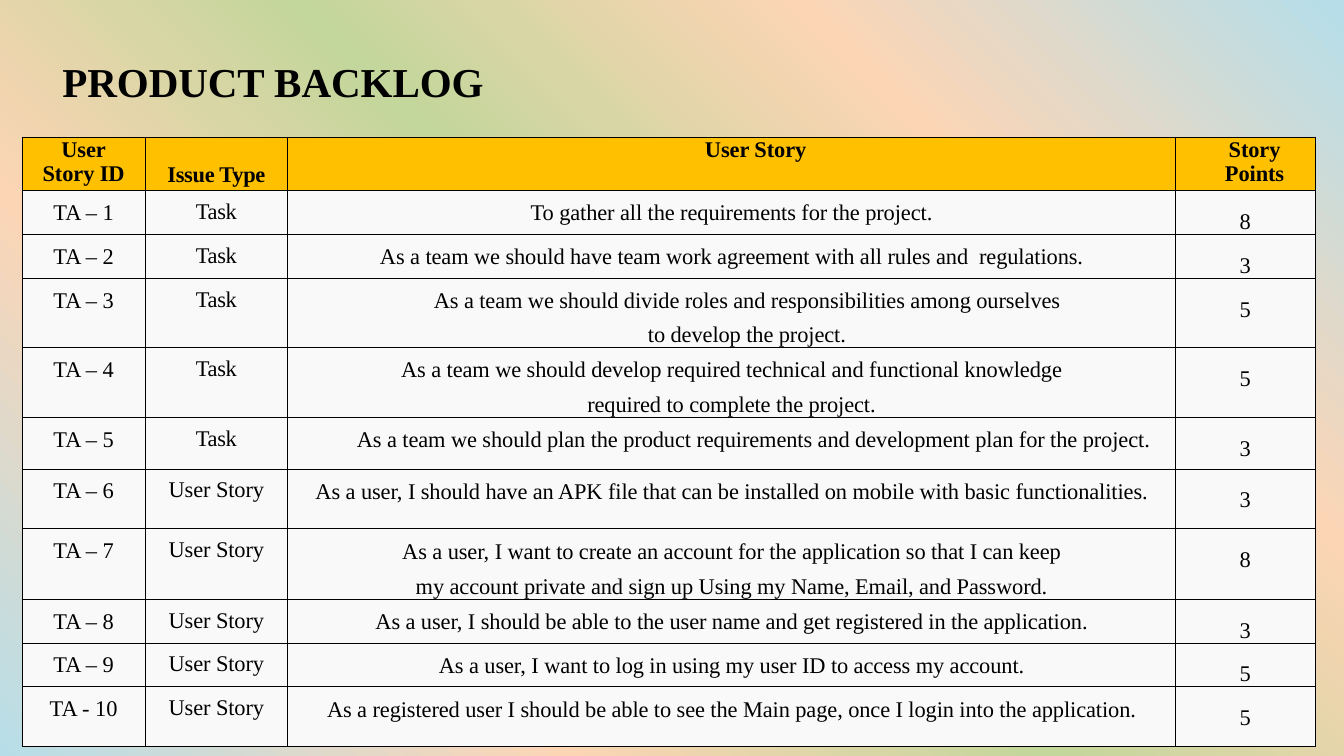
from lxml.etree import SubElement
from pptx import Presentation
from pptx.dml.color import RGBColor
from pptx.enum.text import MSO_AUTO_SIZE, PP_ALIGN
from pptx.oxml.ns import qn
from pptx.util import Inches, Pt

BLACK = RGBColor(0x00, 0x00, 0x00)
GOLD = RGBColor(0xFF, 0xC0, 0x00)
OFF_WHITE = RGBColor(0xF9, 0xF9, 0xF9)
BLUE = RGBColor(0xB7, 0xDE, 0xE8)
PEACH = RGBColor(0xFC, 0xD5, 0xB5)
GREEN = RGBColor(0xC3, 0xD6, 0x9B)

BACKGROUND = [(1, BLUE), (26, PEACH), (50, GREEN), (73, PEACH), (100, BLUE)]
COLUMN_WIDTHS = [1.83, 2.12, 13.21, 2.08]
HEADER_HEIGHT = 0.8
HEADERS = [
    ("User\nStory ID", {}),
    ("Issue Type", {"leading": 18.1, "lead_lines": 2, "tracking": -0.3}),
    ("User Story", {"indent": 0.72}),
    ("Story\nPoints", {"indent": 0.28}),
]
STORIES = [
    ("TA – 1", "Task", "To gather all the requirements for the project.", "8", 0.65, 0, 18.6),
    ("TA – 2", "Task", "As a team we should have team work agreement with all rules and  regulations.",
     "3", 0.65, 0, 18.6),
    ("TA – 3", "Task", "As a team we should divide roles and responsibilities among ourselves\n"
     "to develop the project.", "5", 1.03, 0.46, 18.6),
    ("TA – 4", "Task", "As a team we should develop required technical and functional knowledge\n"
     "required to complete the project.", "5", 1.03, 0, 18.6),
    ("TA – 5", "Task", "As a team we should plan the product requirements and development plan "
     "for the project.", "3", 0.77, 0.65, 18.6),
    ("TA – 6", "User Story", "As a user, I should have an APK file that can be installed on mobile "
     "with basic functionalities.", "3", 0.89, 0, 18.9),
    ("TA – 7", "User Story", "As a user, I want to create an account for the application so that I can keep\n"
     "my account private and sign up Using my Name, Email, and Password.", "8", 1.05, 0, 18.9),
    ("TA – 8", "User Story", "As a user, I should be able to the user name and get registered "
     "in the application.", "3", 0.65, 0, 18.9),
    ("TA – 9", "User Story", "As a user, I want to log in using my user ID to access my account.",
     "5", 0.65, 0, 18.9),
    ("TA - 10", "User Story", "As a registered user I should be able to see the Main page, "
     "once I login into the application.", "5", 0.89, 0, 18.9),
]


def write_text(frame, text, size=24, bold=False, align=PP_ALIGN.CENTER, leading=None, gap=0,
               tracking=-0.1, font="Times New Roman", color=BLACK):
    """Write each line of text as a formatted paragraph of the frame."""
    for index, line in enumerate(text.split("\n")):
        para = frame.add_paragraph() if index else frame.paragraphs[0]
        para.alignment = align
        if leading:
            para.line_spacing = Pt(leading)
        if index and gap:
            para.space_before = Pt(gap)
        span = para.add_run()
        span.text = line
        span.font.name = font
        span.font.size = Pt(size)
        span.font.bold = bold
        span.font.color.rgb = color
        if tracking:
            span.font._element.set("spc", str(round(tracking * 100)))


class BacklogPage:
    """Hold the border style and the current slide."""

    def __init__(self, page, border=1):
        """Keep the slide and the border width in points."""
        self.page = page
        self.border = border

    def background(self, stops, angle):
        """Fill the slide with a linear gradient."""
        fill = self.page.background.fill
        fill.gradient()
        fill.gradient_angle = angle
        stop_list = next(self.page._element.iter(qn("a:gsLst")))
        for stop in list(stop_list):
            stop_list.remove(stop)
        for position, color in stops:
            stop = SubElement(stop_list, qn("a:gs"), pos=str(position * 1000))
            SubElement(stop, qn("a:srgbClr"), val=str(color))

    def title(self, text, left, top, width, height):
        """Add the bold page title."""
        box = self.page.shapes.add_textbox(Inches(left), Inches(top), Inches(width), Inches(height))
        box.text_frame.word_wrap = True
        box.text_frame.auto_size = MSO_AUTO_SIZE.SHAPE_TO_FIT_TEXT
        write_text(box.text_frame, text, size=44, bold=True, align=PP_ALIGN.LEFT)

    def table(self, left, top, widths, heights):
        """Add an unstyled grid with the given column widths and row heights."""
        frame = self.page.shapes.add_table(len(heights), len(widths), Inches(left), Inches(top),
                                           Inches(sum(widths)), Inches(sum(heights)))
        table = frame.table
        table.first_row = table.horz_banding = False
        for column, width in zip(table.columns, widths):
            column.width = Inches(width)
        for row, height in zip(table.rows, heights):
            row.height = Inches(height)
        return table

    def cell(self, cell, text, fill, indent=0, leading=None, lead_lines=0, **style):
        """Fill, border and write one cell, with its text set down by lead_lines."""
        cell.margin_right = cell.margin_bottom = 0
        cell.margin_left = Inches(indent)
        cell.margin_top = Pt((leading or 0) * lead_lines)
        properties = cell._tc.get_or_add_tcPr()
        for side in ("lnL", "lnR", "lnT", "lnB"):
            line = SubElement(properties, qn(f"a:{side}"), w=str(Pt(self.border)))
            SubElement(SubElement(line, qn("a:solidFill")), qn("a:srgbClr"), val=str(BLACK))
        cell.fill.solid()
        cell.fill.fore_color.rgb = fill
        write_text(cell.text_frame, text, leading=leading, gap=(leading or 0) * lead_lines, **style)


def main():
    """Build the product backlog slide."""
    deck = Presentation()
    deck.slide_width, deck.slide_height = Inches(20), Inches(11.25)
    backlog = BacklogPage(deck.slides.add_slide(deck.slide_layouts[6]))
    backlog.background(BACKGROUND, angle=225)
    backlog.title("PRODUCT BACKLOG", 0.83, 0.79, 6.66, 0.84)

    heights = [HEADER_HEIGHT] + [story[4] for story in STORIES]
    table = backlog.table(0.33, 2.04, COLUMN_WIDTHS, heights)
    for column, (text, style) in enumerate(HEADERS):
        backlog.cell(table.cell(0, column), text, GOLD, bold=True, **style)
    for row, (story_id, issue, story, points, _, indent, leading) in enumerate(STORIES, 1):
        entries = [
            (story_id, {"leading": 18.6, "tracking": 0}),
            (issue, {"leading": 18.1, "tracking": -0.3 if issue == "Task" else -0.1}),
            (story, {"leading": leading, "indent": indent}),
            (points, {"leading": 23.4, "tracking": 0}),
        ]
        for column, (text, style) in enumerate(entries):
            backlog.cell(table.cell(row, column), text, OFF_WHITE, lead_lines=1, **style)
    deck.save("out.pptx")


if __name__ == "__main__":
    main()
